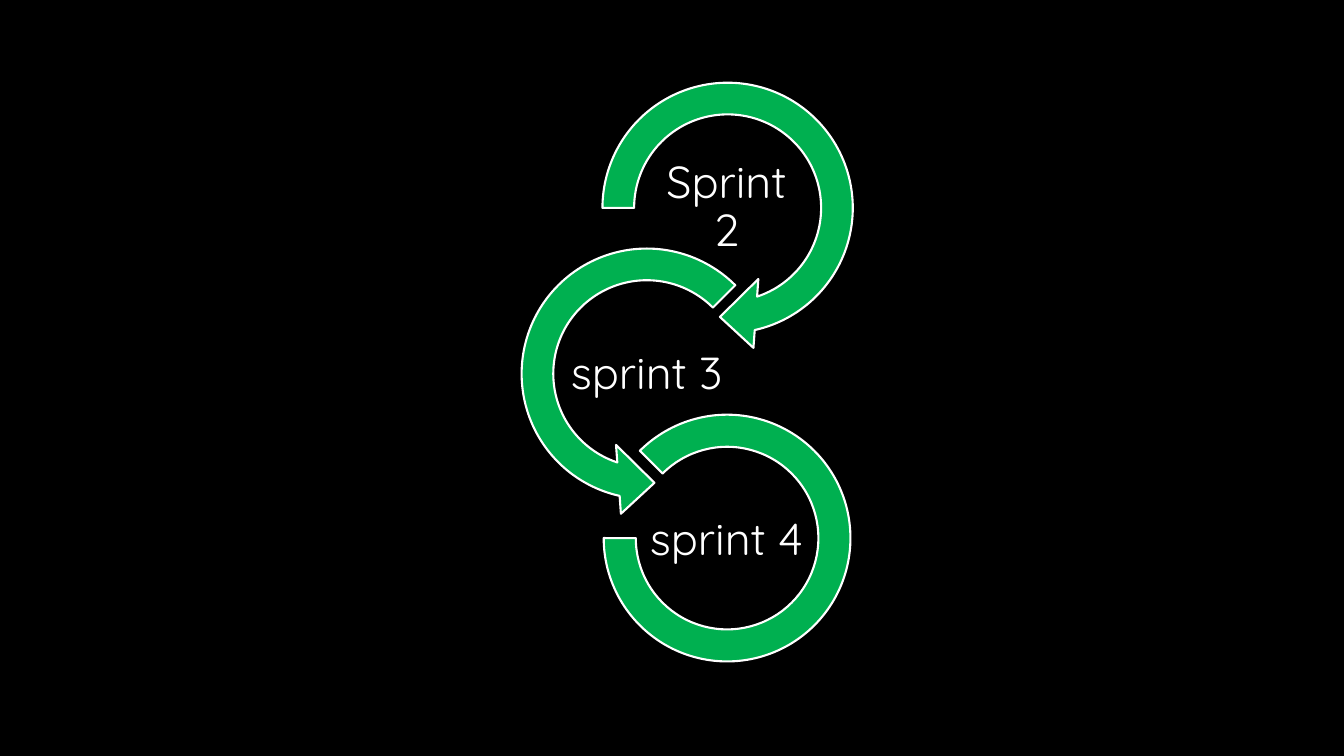
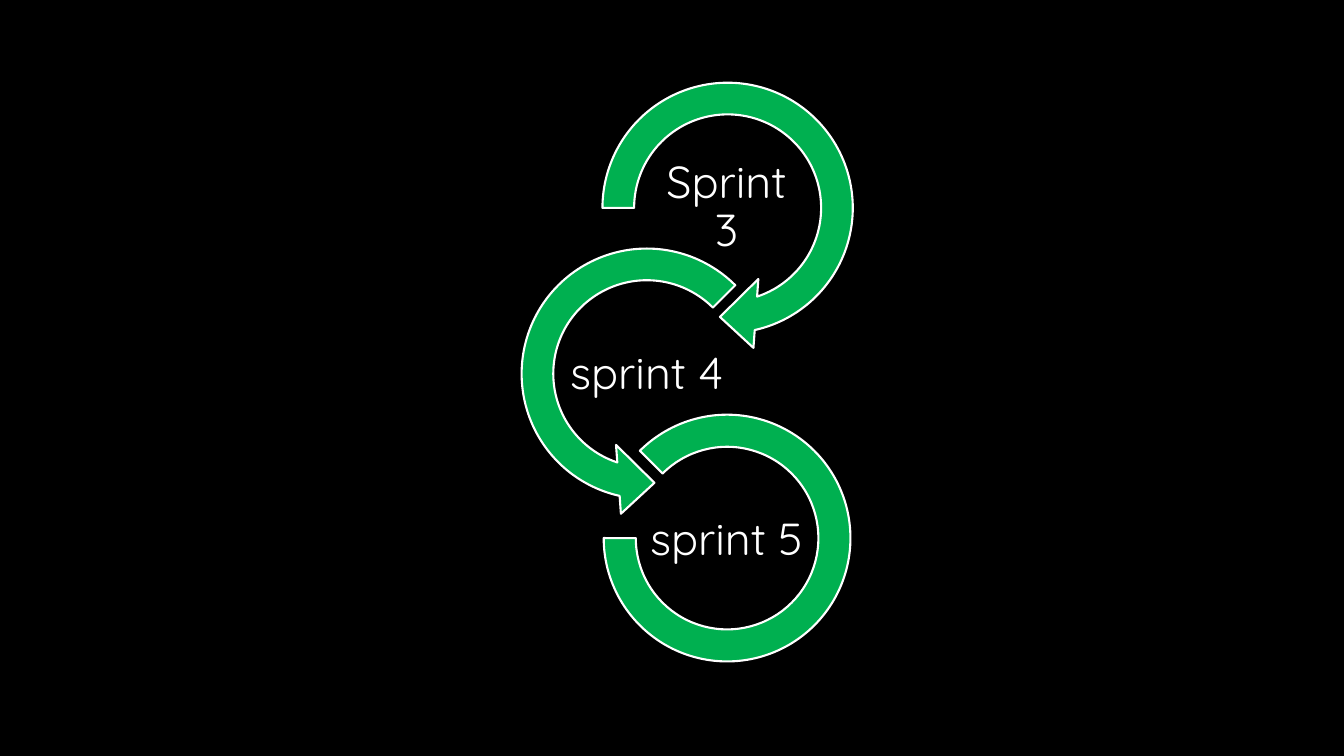
from pptx import Presentation
from pptx.dml.color import RGBColor
from pptx.enum.shapes import MSO_SHAPE
from pptx.enum.text import MSO_ANCHOR, PP_ALIGN
from pptx.util import Pt

EMU_PER_PX = 9525
BLACK, WHITE, GREEN = "000000", "FFFFFF", "00B050"
FONT = "Quicksand"
LABEL_WIDTH, LABEL_HEIGHT, LABEL_INSET = 152, 76, 2
CYCLE_BOX = (479, 61, 352, 569)
LOOPS = [
    (MSO_SHAPE.CIRCULAR_ARROW, (77, 0, 274), (137, 99),
     (0.11, 11.42, 45, 108, 0.12)),
    (MSO_SHAPE.LEFT_CIRCULAR_ARROW, (0, 158, 274), (61, 258),
     (0.11, 11.42, 63, 189, 0.12)),
    (MSO_SHAPE.BLOCK_ARC, (96, 334, 235), (137, 416), (135, 108, 0.13)),
]
SLIDE_LABELS = [
    ("Sprint 2", "sprint 3", "sprint 4"),
    ("Sprint 3", "sprint 4", "sprint 5"),
]


def px(*lengths):
    """Turn pixel lengths into a list of EMU."""
    return [length * EMU_PER_PX for length in lengths]


def paint(fill, color):
    """Give a fill one solid hex colour."""
    fill.solid()
    fill.fore_color.rgb = RGBColor.from_string(color)


def add_loop(group, kind, left, top, size, adjustments):
    """Draw one green loop with a white outline."""
    loop = group.shapes.add_shape(kind, *px(left, top, size, size))
    for index, value in enumerate(adjustments):
        loop.adjustments[index] = value
    loop.shadow.inherit = False
    paint(loop.fill, GREEN)
    paint(loop.line.fill, WHITE)
    loop.line.width = Pt(1.5)


def add_label(group, left, top, text):
    """Write the centred label of one loop."""
    box = group.shapes.add_textbox(*px(left, top, LABEL_WIDTH, LABEL_HEIGHT))
    frame = box.text_frame
    frame.word_wrap = True
    frame.vertical_anchor = MSO_ANCHOR.MIDDLE
    (frame.margin_left, frame.margin_top,
     frame.margin_right, frame.margin_bottom) = px(*[LABEL_INSET] * 4)
    para = frame.paragraphs[0]
    para.alignment = PP_ALIGN.CENTER
    para.line_spacing = 0.9
    span = para.add_run()
    span.text = text
    span.font.name = FONT
    span.font.size = Pt(32)
    paint(span.font.fill, WHITE)


def add_sprint_cycle(page, box, labels):
    """Chain the labelled sprint loops inside the given box."""
    left, top, _, _ = box
    group = page.shapes.add_group_shape()
    for (kind, (x, y, size), (label_x, label_y), adjustments), text in zip(LOOPS, labels):
        add_loop(group, kind, left + x, top + y, size, adjustments)
        add_label(group, left + label_x, top + label_y, text)


def main():
    """Build and save the deck."""
    deck = Presentation()
    deck.slide_width, deck.slide_height = px(1280, 720)
    paint(deck.slide_master.background.fill, BLACK)
    for labels in SLIDE_LABELS:
        page = deck.slides.add_slide(deck.slide_layouts[6])
        add_sprint_cycle(page, CYCLE_BOX, labels)
    deck.save("out.pptx")


if __name__ == "__main__":
    main()
